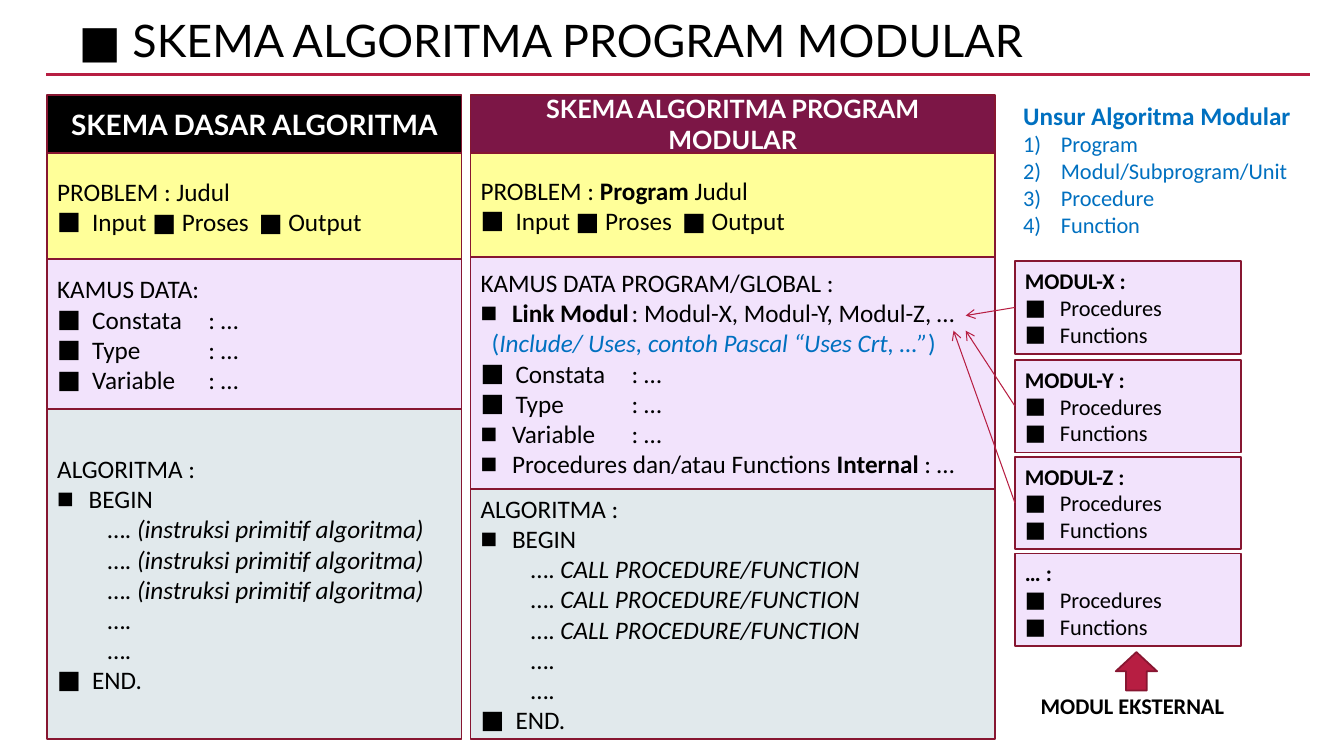
"""Build the slide that compares the basic and the modular algorithm scheme."""
from lxml.etree import SubElement
from pptx import Presentation
from pptx.dml.color import RGBColor
from pptx.enum.shapes import MSO_CONNECTOR, MSO_SHAPE
from pptx.enum.text import MSO_ANCHOR, MSO_AUTO_SIZE, PP_ALIGN
from pptx.oxml.ns import qn
from pptx.util import Pt

BLACK = RGBColor(0x00, 0x00, 0x00)
WHITE = RGBColor(0xFF, 0xFF, 0xFF)
BLUE = RGBColor(0x00, 0x70, 0xC0)
CRIMSON = RGBColor(0xB7, 0x1E, 0x42)
MAROON = RGBColor(0x87, 0x16, 0x31)
PLUM = RGBColor(0x7C, 0x16, 0x46)
YELLOW = RGBColor(0xFF, 0xFF, 0x99)
LILAC = RGBColor(0xF2, 0xE3, 0xFC)
GREY = RGBColor(0xE1, 0xE9, 0xEC)

# kind: left margin, first-line indent, bullet size in percent
KINDS = {
    "plain": (0, 0, None),
    "head": (0, 0, None),
    "step": (0, 0, None),
    "note": (8, 0, None),
    "item": (25, -25, 100),
    "small": (22.5, -22.5, 70),
    "number": (27, -27, 100),
}


def write(frame, lines, size, color=BLACK, font="Calibri", align=PP_ALIGN.LEFT):
    """Write (kind, text) lines; text between bars is emphasised."""
    frame.word_wrap = True
    for index, (kind, text) in enumerate(lines):
        paragraph = frame.add_paragraph() if index else frame.paragraphs[0]
        margin, indent, bullet_size = KINDS[kind]
        line_color = BLUE if kind == "note" else color
        properties = paragraph._p.get_or_add_pPr()
        properties.set("marL", str(int(Pt(margin))))
        properties.set("indent", str(int(Pt(indent))))
        if bullet_size is None:
            SubElement(properties, qn("a:buNone"))
        else:
            bullet_color = SubElement(properties, qn("a:buClr"))
            SubElement(bullet_color, qn("a:srgbClr"), val=str(line_color))
            SubElement(properties, qn("a:buSzPct"), val=str(bullet_size * 1000))
            SubElement(properties, qn("a:buFont"), typeface="Calibri")
            if kind == "number":
                SubElement(properties, qn("a:buAutoNum"), type="arabicParenR")
            else:
                SubElement(properties, qn("a:buChar"), char="■")
        paragraph.alignment = align
        paragraph.space_before = Pt(0)
        paragraph.font.size = Pt(size)
        paragraph.font.name = font
        paragraph.font.color.rgb = line_color
        paragraph.font.bold = kind == "head"
        for part, words in enumerate(text.split("|")):
            if words:
                run = paragraph.add_run()
                run.text = words
                if part % 2 and kind in ("step", "note"):
                    run.font.italic = True
                elif part % 2:
                    run.font.bold = True


def add_block(preset, left, top, width, height, fill):
    """Add a filled shape with the maroon outline."""
    block = slide.shapes.add_shape(preset, Pt(left), Pt(top), Pt(width), Pt(height))
    block.shadow.inherit = False
    block.fill.solid()
    block.fill.fore_color.rgb = fill
    block.line.color.rgb = MAROON
    block.line.width = Pt(1.25)
    return block


presentation = Presentation()
presentation.slide_width = Pt(960)
presentation.slide_height = Pt(540)
slide = presentation.slides.add_slide(presentation.slide_layouts[1])

title, elements = slide.placeholders
title.left, title.top, title.width, title.height = Pt(49), Pt(10), Pt(890.6), Pt(39)
title.text_frame.vertical_anchor = MSO_ANCHOR.TOP
write(title.text_frame, [("plain", "■ SKEMA ALGORITMA PROGRAM MODULAR")], 32, font="Lato")
title.text_frame.paragraphs[0].line_spacing = 0.9

elements.left, elements.top, elements.width, elements.height = Pt(723.6), Pt(67.7), Pt(207.4), Pt(106.6)
element_names = ["Program", "Modul/Subprogram/Unit", "Procedure", "Function"]
write(elements.text_frame,
      [("head", "Unsur Algoritma Modular")] + [("number", name) for name in element_names],
      16, BLUE)
elements.text_frame.paragraphs[0].font.size = Pt(18)
elements.text_frame.word_wrap = False
elements.text_frame.auto_size = MSO_AUTO_SIZE.SHAPE_TO_FIT_TEXT

title_rule = slide.shapes.add_connector(MSO_CONNECTOR.STRAIGHT, Pt(33.1), Pt(53.3), Pt(936), Pt(53.3))
title_rule.line.color.rgb = CRIMSON
title_rule.line.width = Pt(2.5)
SubElement(title_rule._element.spPr, qn("a:effectLst"))

input_output = ("item", "Input ■ Proses\t■ Output")
constants_types = [("item", "Constata\t: …"), ("item", "Type\t\t: …")]
begin = [("plain", "ALGORITMA :"), ("small", "BEGIN")]
end = [("step", "\t….")] * 2 + [("item", "END.")]

basic_sections = [
    [("plain", "PROBLEM : Judul"), input_output],
    [("plain", "KAMUS DATA:"), *constants_types, ("item", "Variable\t: …")],
    begin + [("step", "\t…. |(instruksi primitif algoritma)|")] * 3 + end,
]
modular_sections = [
    [("plain", "PROBLEM : |Program| Judul"), input_output],
    [("plain", "KAMUS DATA PROGRAM/GLOBAL :"),
     ("small", "|Link Modul|\t: Modul-X, Modul-Y, Modul-Z, …"),
     ("note", "(|Include/ Uses, contoh Pascal “Uses Crt, …”|)"),
     *constants_types,
     ("small", "Variable\t: …"),
     ("small", "Procedures dan/atau Functions |Internal| : …")],
    begin + [("step", "\t…. |CALL PROCEDURE/FUNCTION|")] * 3 + end,
]
schemes = [
    ("SKEMA DASAR ALGORITMA", 20, BLACK, 33.8, 296, [109.4, 185, 292.3, 527.8], basic_sections),
    ("SKEMA ALGORITMA PROGRAM MODULAR", 18, PLUM, 336.2, 374.4, [109.4, 183.6, 349.2, 527.8],
     modular_sections),
]
for heading, heading_size, heading_fill, left, width, edges, sections in schemes:
    for top, bottom, fill, lines in zip(edges, edges[1:], (YELLOW, LILAC, GREY), sections):
        section = add_block(MSO_SHAPE.RECTANGLE, left, top, width, bottom - top, fill)
        write(section.text_frame, lines, 18)
    header = add_block(MSO_SHAPE.RECTANGLE, left, 67.7, width, 41.7, heading_fill)
    write(header.text_frame, [("head", heading)], heading_size, WHITE, "Lato", PP_ALIGN.CENTER)

modules = [
    ("MODUL-X :", 186.5, (689.8, 225.4)),
    ("MODUL-Y :", 257, (689.8, 236.2)),
    ("MODUL-Z :", 326.2, (681.1, 236.2)),
    ("… :", 395.3, None),
]
for name, top, link_target in modules:
    module = add_block(MSO_SHAPE.RECTANGLE, 725, top, 161.3, 66.2, LILAC)
    write(module.text_frame, [("head", name), ("item", "Procedures"), ("item", "Functions")], 16)
    if link_target:
        target_x, target_y = link_target
        link = slide.shapes.add_connector(
            MSO_CONNECTOR.STRAIGHT, Pt(725), Pt(top + 33.1), Pt(target_x), Pt(target_y))
        link.begin_connect(module, 1)
        link.line.color.rgb = CRIMSON
        link.line.width = Pt(0.75)
        SubElement(link.line._get_or_add_ln(), qn("a:tailEnd"), type="arrow")
        SubElement(link._element.spPr, qn("a:effectLst"))

external_label = slide.shapes.add_textbox(Pt(725), Pt(479.5), Pt(167.8), Pt(49))
external_label.text_frame.vertical_anchor = MSO_ANCHOR.MIDDLE
write(external_label.text_frame, [("head", "MODUL EKSTERNAL")], 16, align=PP_ALIGN.CENTER)
add_block(MSO_SHAPE.UP_ARROW, 797, 465.8, 29.5, 27.4, CRIMSON)

presentation.save("out.pptx")
